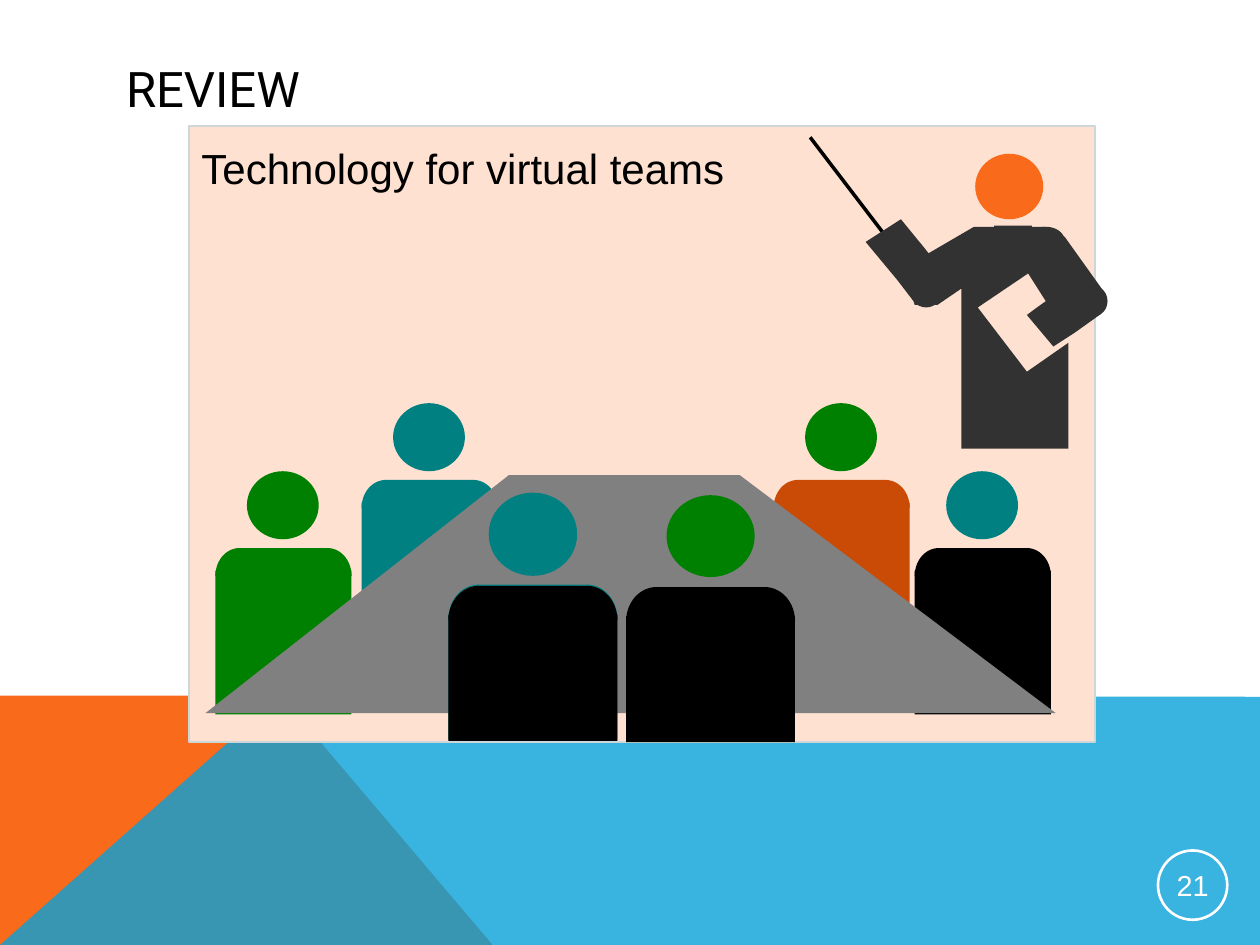
from dataclasses import dataclass
from math import cos, radians, sin

from lxml import etree
from pptx import Presentation
from pptx.dml.color import RGBColor
from pptx.enum.shapes import MSO_CONNECTOR, MSO_SHAPE
from pptx.enum.text import MSO_ANCHOR, PP_ALIGN
from pptx.oxml.ns import qn
from pptx.util import Inches, Pt

RECT, ELLIPSE = MSO_SHAPE.RECTANGLE, MSO_SHAPE.OVAL
STRAIGHT = MSO_CONNECTOR.STRAIGHT
LEFT, CENTER = PP_ALIGN.LEFT, PP_ALIGN.CENTER
TOP, MIDDLE = MSO_ANCHOR.TOP, MSO_ANCHOR.MIDDLE


@dataclass(frozen=True)
class Theme:
    """Colours, fonts and type sizes of the slide."""
    black: str = "000000"
    white: str = "FFFFFF"
    orange: str = "F96A1B"
    blue: str = "08A1D9"
    peach: str = "FEE1D1"
    border: str = "CDD7D9"
    suit: str = "323232"
    teal: str = "008080"
    green: str = "008000"
    rust: str = "CA4B05"
    table: str = "808080"
    heading_font: str = "Roboto"
    body_font: str = "Arial"
    title_size: float = 28
    caption_size: float = 24
    number_size: float = 16.5


@dataclass(frozen=True)
class Build:
    """Sizes of a seated person, in inches; head place is relative to the torso."""
    head: tuple
    width: float
    height: float
    corner: tuple
    shoulder: tuple
    drop: float


THEME = Theme()
FAR = Build((0.25, -0.61, 0.57, 0.54), 1.08, 1.32, (0.19, 0.22), (0.72, 0.27), 0.18)
NEAR = Build((0.32, -0.73, 0.7, 0.65), 1.34, 1.23, (0.24, 0.27), (0.88, 0.32), 0.23)

SUIT_OUTLINE = [
    (8.19, 1.8), (8.3, 1.8), (8.45, 1.88), (8.75, 2.3), (8.74, 2.49), (8.53, 2.64),
    (8.36, 2.75), (8.15, 2.5), (8.23, 2.44), (8.3, 2.39), (8.16, 2.17), (7.76, 2.44),
    (8.15, 2.95), (8.48, 2.72), (8.48, 3.56), (7.63, 3.56), (7.63, 2.29), (7.44, 2.42),
    (7.26, 2.42), (7.25, 2.39), (7.12, 2.22), (6.87, 1.92), (7.15, 1.74), (7.33, 1.96),
    (7.37, 2.01), (7.73, 1.8), (7.87, 1.8)]


def paint(shape, fill=None, line=None, weight=1, alpha=None):
    """Set fill, outline and opacity, and drop the shadow."""
    shape.shadow.inherit = False
    if fill:
        shape.fill.solid()
        shape.fill.fore_color.rgb = RGBColor.from_string(fill)
    else:
        shape.fill.background()
    if alpha:
        color = shape.fill._xPr.find(qn("a:solidFill"))[0]
        etree.SubElement(color, qn("a:alpha")).set("val", str(alpha * 1000))
    if line:
        shape.line.color.rgb = RGBColor.from_string(line)
        shape.line.width = Pt(weight)
    else:
        shape.line.fill.background()


def add_preset(shapes, kind, box, **style):
    """Add a painted preset shape in a box given in inches."""
    shape = shapes.add_shape(kind, *map(Inches, box))
    paint(shape, **style)
    return shape


def add_polygon(shapes, points, **style):
    """Add a painted closed outline through points given in inches."""
    corners = [(Inches(x), Inches(y)) for x, y in points]
    builder = shapes.build_freeform(*corners[0], scale=1.0)
    builder.add_line_segments(corners[1:], close=True)
    paint(builder.convert_to_shape(), **style)


def add_wedge(shapes, center, radii, start, end, fill):
    """Add an elliptical sector between two clockwise angles in degrees."""
    steps = 24
    angles = [radians(start + (end - start) * i / steps) for i in range(steps + 1)]
    arc = [(center[0] + radii[0] * cos(a), center[1] + radii[1] * sin(a)) for a in angles]
    add_polygon(shapes, [center] + arc, fill=fill)


def add_line(shapes, start, end, color, weight):
    """Add a straight line between two points given in inches."""
    line = shapes.add_connector(STRAIGHT, *map(Inches, start + end))
    line.line.color.rgb = RGBColor.from_string(color)
    line.line.width = Pt(weight)
    etree.SubElement(line._element.spPr, qn("a:effectLst"))


def write(shape, text, size, font=THEME.body_font, color=THEME.black,
          align=LEFT, anchor=TOP, inset=None):
    """Write one formatted paragraph into a shape."""
    frame = shape.text_frame
    frame.word_wrap = True
    frame.vertical_anchor = anchor
    if inset is not None:
        frame.margin_left = frame.margin_right = Inches(inset)
        frame.margin_top = frame.margin_bottom = Inches(inset)
    para = frame.paragraphs[0]
    para.alignment = align
    span = para.add_run()
    span.text = text
    span.font.size = Pt(size)
    span.font.name = font
    span.font.color.rgb = RGBColor.from_string(color)


def add_person(shapes, left, top, build, head, torso):
    """Add a seated person whose torso starts at left and top."""
    dx, dy, *head_size = build.head
    corner_width, corner_height = build.corner
    add_preset(shapes, RECT, (left + build.drop, top, *build.shoulder), fill=torso)
    add_preset(shapes, RECT, (left, top + build.drop, build.width,
                              build.height - build.drop), fill=torso)
    left_center = (left + corner_width, top + corner_height)
    right_center = (left + build.width - corner_width, top + corner_height)
    add_wedge(shapes, left_center, build.corner, 180, 270, torso)
    add_wedge(shapes, right_center, build.corner, 270, 360, torso)
    add_preset(shapes, ELLIPSE, (left + dx, top + dy, *head_size), fill=head)


def add_presenter(shapes):
    """Add the standing presenter with the pointer."""
    add_line(shapes, (7.11, 1.98), (6.43, 1.09), THEME.black, 2)
    add_preset(shapes, ELLIPSE, (7.24, 2.26, 0.22, 0.18), fill=THEME.suit)
    add_preset(shapes, ELLIPSE, (7.74, 1.22, 0.54, 0.52), fill=THEME.orange)
    add_polygon(shapes, SUIT_OUTLINE, fill=THEME.suit)
    add_preset(shapes, ELLIPSE, (8.57, 2.27, 0.22, 0.24), fill=THEME.suit)
    add_wedge(shapes, (8.04, 1.79), (0.15, 0.12), 0, 180, THEME.suit)
    add_wedge(shapes, (8.3, 1.91), (0.15, 0.11), 225, 405, THEME.suit)


def add_meeting(shapes):
    """Add the meeting scene with its caption."""
    add_preset(shapes, RECT, (1.5, 1, 7.19, 4.89), fill=THEME.peach, line=THEME.border)
    add_presenter(shapes)
    add_person(shapes, 7.26, 4.35, FAR, THEME.teal, THEME.black)
    add_person(shapes, 6.14, 3.81, FAR, THEME.green, THEME.rust)
    add_person(shapes, 2.87, 3.81, FAR, THEME.teal, THEME.teal)
    add_person(shapes, 1.71, 4.35, FAR, THEME.green, THEME.green)
    add_polygon(shapes, [(1.63, 5.66), (4.04, 3.77), (5.87, 3.77), (8.38, 5.66)],
                fill=THEME.table)
    add_person(shapes, 4.97, 4.66, NEAR, THEME.green, THEME.black)
    add_person(shapes, 3.56, 4.64, NEAR, THEME.teal, THEME.teal)
    add_person(shapes, 3.56, 4.65, NEAR, THEME.teal, THEME.black)
    caption = shapes.add_textbox(*map(Inches, (1.5, 1.08, 4.92, 0.5)))
    write(caption, "Technology for virtual teams", THEME.caption_size)


def add_footer(shapes):
    """Add the coloured bands and the page number."""
    add_polygon(shapes, [(0, 7.5), (0, 5.52), (2.23, 5.52), (3.91, 7.5)],
                fill=THEME.orange)
    add_polygon(shapes, [(0, 7.5), (2.23, 5.52), (10, 5.53), (10, 7.5)],
                fill=THEME.blue, alpha=80)
    number = add_preset(shapes, ELLIPSE, (9.19, 6.75, 0.55, 0.55),
                        line=THEME.white, weight=1.5)
    write(number, "21", THEME.number_size, color=THEME.white, align=CENTER,
          anchor=MIDDLE, inset=0.01)


def main():
    """Build and save the slide."""
    deck = Presentation()
    deck.slide_width, deck.slide_height = Inches(10), Inches(7.5)
    page = deck.slides.add_slide(deck.slide_layouts[5])
    title = page.shapes.title
    title.left, title.top, title.width, title.height = map(Inches, (0.9, 0.4, 8.23, 0.6))
    write(title, "REVIEW", THEME.title_size, font=THEME.heading_font, anchor=MIDDLE)
    add_footer(page.shapes)
    add_meeting(page.shapes.add_group_shape().shapes)
    deck.save("out.pptx")


if __name__ == "__main__":
    main()
